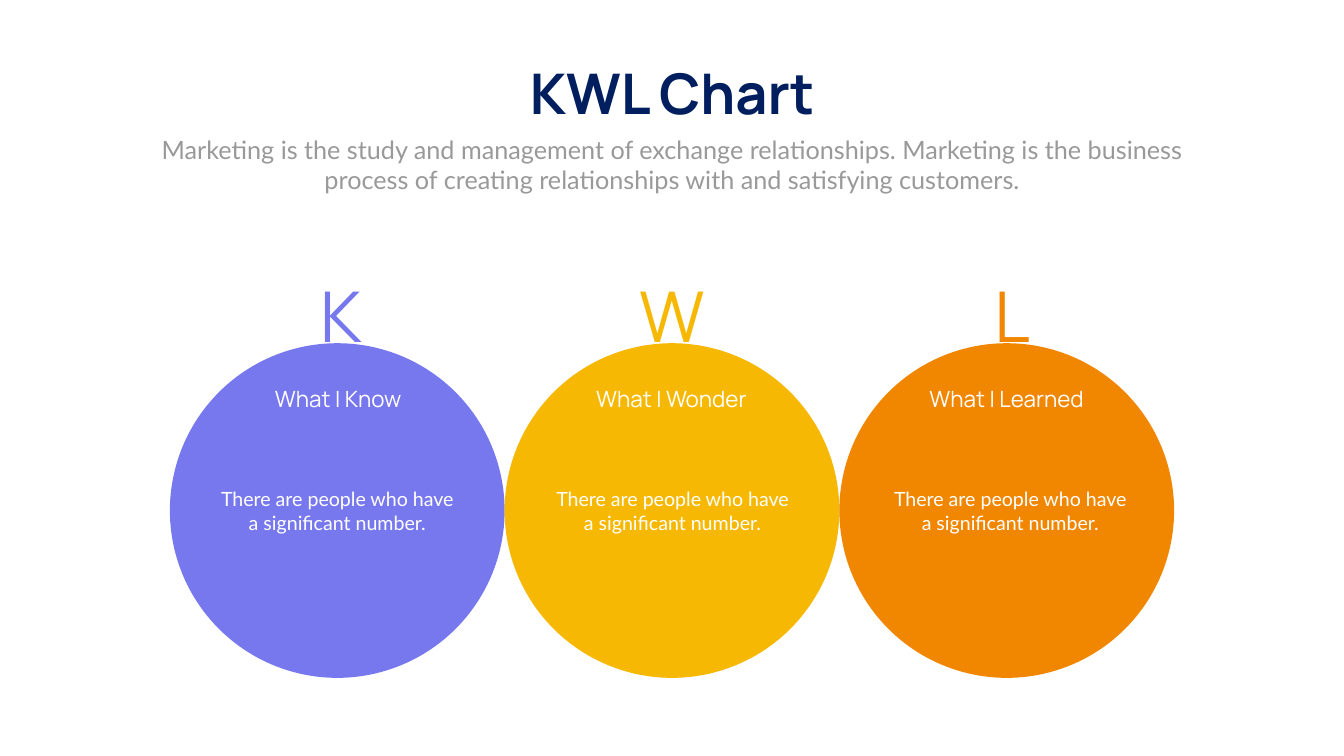
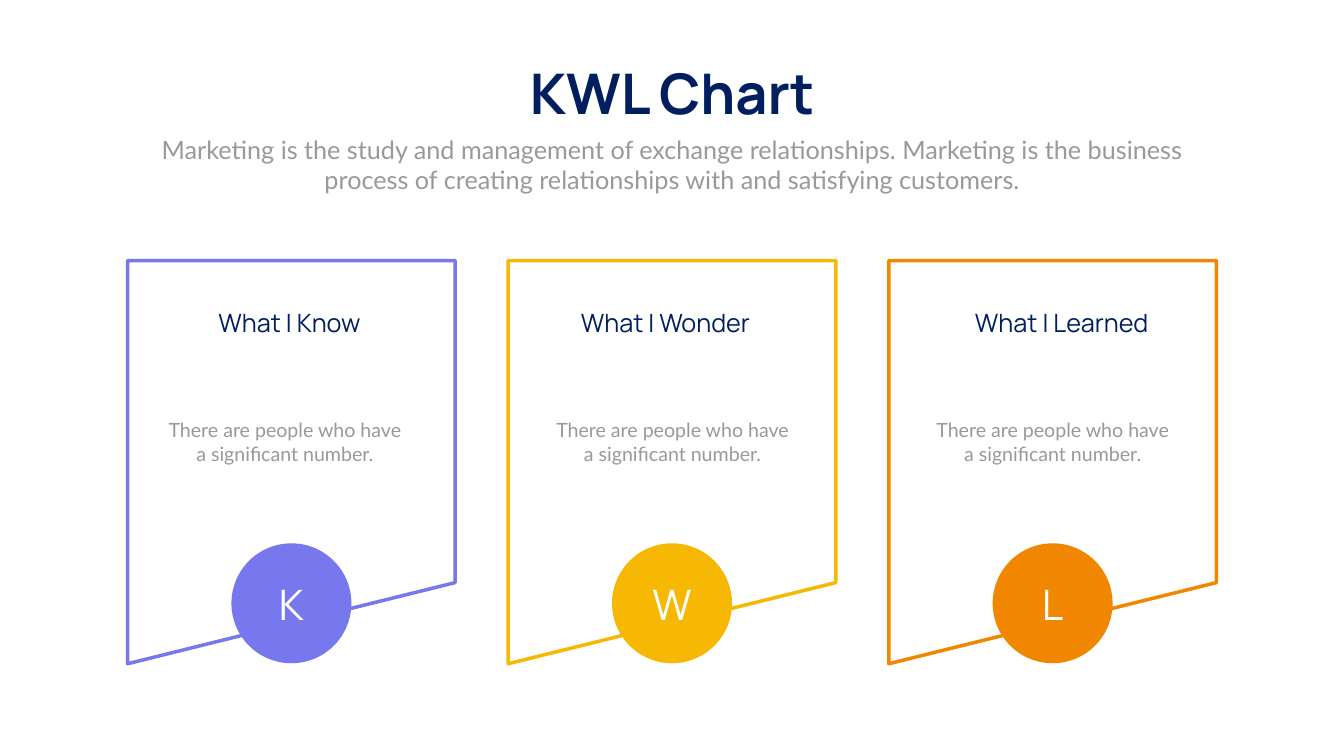
from collections import namedtuple

from lxml import etree
from pptx import Presentation
from pptx.dml.color import RGBColor
from pptx.enum.shapes import MSO_SHAPE
from pptx.enum.text import MSO_ANCHOR, MSO_AUTO_SIZE, PP_ALIGN
from pptx.oxml.ns import qn
from pptx.util import Inches, Pt

PX = Inches(0.01)
SLIDE_W, SLIDE_H = 2666, 1500

WHITE = RGBColor(0xFF, 0xFF, 0xFF)
PAPER = RGBColor(0xFE, 0xFF, 0xFE)
NAVY = RGBColor(0x01, 0x1F, 0x5E)
GRAY = RGBColor(0x99, 0x99, 0x99)
VIOLET = RGBColor(0x77, 0x78, 0xED)
YELLOW = RGBColor(0xF6, 0xB8, 0x02)
ORANGE = RGBColor(0xF1, 0x86, 0x00)

HEAD_FONT, BODY_FONT = "Manrope", "Lato"
TITLE = "KWL Chart"
SUBTITLE = (
    "Marketing is the study and management of exchange relationships. "
    "Marketing is the business process of creating relationships with "
    "and satisfying customers."
)
BODY = "There are people who have a significant number."

Topic = namedtuple("Topic", "letter heading color letter_w heading_w")
Shift = namedtuple("Shift", "letter heading body")

TOPICS = [
    Topic("K", "What I Know", VIOLET, 109, 374),
    Topic("W", "What I Wonder", YELLOW, 160, 477),
    Topic("L", "What I Learned", ORANGE, 82, 441),
]
CIRCLE_SHIFTS = [Shift(8, 2, 0), Shift(0, -1, 1), Shift(7, 0, 7)]
PANEL_SHIFTS = [Shift(0, -4, -13), Shift(0, -13, 1), Shift(0, 18, 0)]


def place(sp, x, y, w, h):
    sp.left, sp.top, sp.width, sp.height = (round(v * PX) for v in (x, y, w, h))


def write(sp, text, size, font, color, bold=False, wrap=True, anchor=MSO_ANCHOR.TOP):
    tf = sp.text_frame
    tf.text = text
    tf.word_wrap = wrap
    tf.vertical_anchor = anchor
    p = tf.paragraphs[0]
    p.alignment = PP_ALIGN.CENTER
    f = p.runs[0].font
    f.size, f.name, f.bold = Pt(size), font, bold
    f.color.rgb = color


def add_label(slide, center, y, w, h, text, size, font, color, wrap=True):
    sp = slide.shapes.add_textbox(0, 0, 0, 0)
    write(sp, text, size, font, color, wrap=wrap)
    sp.text_frame.auto_size = MSO_AUTO_SIZE.SHAPE_TO_FIT_TEXT
    place(sp, center - w / 2, y, w, h)


def add_disc(slide, x, y, size, color):
    sp = slide.shapes.add_shape(MSO_SHAPE.OVAL, 0, 0, 0, 0)
    place(sp, x, y, size, size)
    sp.shadow.inherit = False
    sp.fill.solid()
    sp.fill.fore_color.rgb = color
    sp.line.fill.background()
    return sp


def add_panel_outline(slide, x, y, w, h, color):
    right_h = h - 161
    fb = slide.shapes.build_freeform(x, y + h, scale=PX)
    fb.add_line_segments([(x + w, y + right_h), (x + w, y), (x, y)], close=True)
    sp = fb.convert_to_shape()
    sp.shadow.inherit = False
    sp.fill.background()
    sp.line.color.rgb = color
    sp.line.width = Pt(5)
    etree.SubElement(sp.line._get_or_add_ln(), qn("a:round"))


def add_header(slide):
    title = slide.shapes.title
    write(title, TITLE, 80, HEAD_FONT, NAVY, bold=True, wrap=False)
    title.text_frame.auto_size = MSO_AUTO_SIZE.SHAPE_TO_FIT_TEXT
    place(title, 1021, 112, 625, 145)
    add_label(slide, SLIDE_W / 2, 261, 2082, 131, SUBTITLE, 36, BODY_FONT, GRAY)


def add_circle_card(slide, x, y, size, topic, shift):
    mid = x + size / 2
    add_disc(slide, x, y, size, topic.color)
    add_label(slide, mid + shift.letter, y - 146, topic.letter_w, 178,
              topic.letter, 100, HEAD_FONT, topic.color, wrap=False)
    add_label(slide, mid + shift.heading, y + 79, topic.heading_w, 64,
              topic.heading, 32, HEAD_FONT, WHITE)
    add_label(slide, mid + shift.body, y + 281, 501, 104, BODY, 28, BODY_FONT, WHITE)


def add_panel_card(slide, x, y, w, h, topic, shift):
    mid, badge = x + w / 2, 238
    add_panel_outline(slide, x, y, w, h, topic.color)
    sp = add_disc(slide, mid - badge / 2, y + h - badge - 1, badge, topic.color)
    write(sp, topic.letter, 60, HEAD_FONT, WHITE, wrap=False, anchor=MSO_ANCHOR.MIDDLE)
    add_label(slide, mid + shift.heading, y + 87, topic.heading_w, 71,
              topic.heading, 36, HEAD_FONT, NAVY)
    add_label(slide, mid + shift.body, y + 308, 501, 104, BODY, 28, BODY_FONT, GRAY)


def new_slide(prs):
    slide = prs.slides.add_slide(prs.slide_layouts[5])
    add_header(slide)
    return slide


def circles_slide(prs):
    slide = new_slide(prs)
    for i, (topic, shift) in enumerate(zip(TOPICS, CIRCLE_SHIFTS)):
        add_circle_card(slide, 337 + 664 * i, 681, 664, topic, shift)


def panels_slide(prs):
    slide = new_slide(prs)
    for i, (topic, shift) in enumerate(zip(TOPICS, PANEL_SHIFTS)):
        add_panel_card(slide, 253 + 755 * i, 517, 650, 800, topic, shift)


def main():
    prs = Presentation()
    prs.slide_width, prs.slide_height = SLIDE_W * PX, SLIDE_H * PX
    fill = prs.slide_master.background.fill
    fill.solid()
    fill.fore_color.rgb = PAPER
    circles_slide(prs)
    panels_slide(prs)
    prs.save("out.pptx")


if __name__ == "__main__":
    main()
